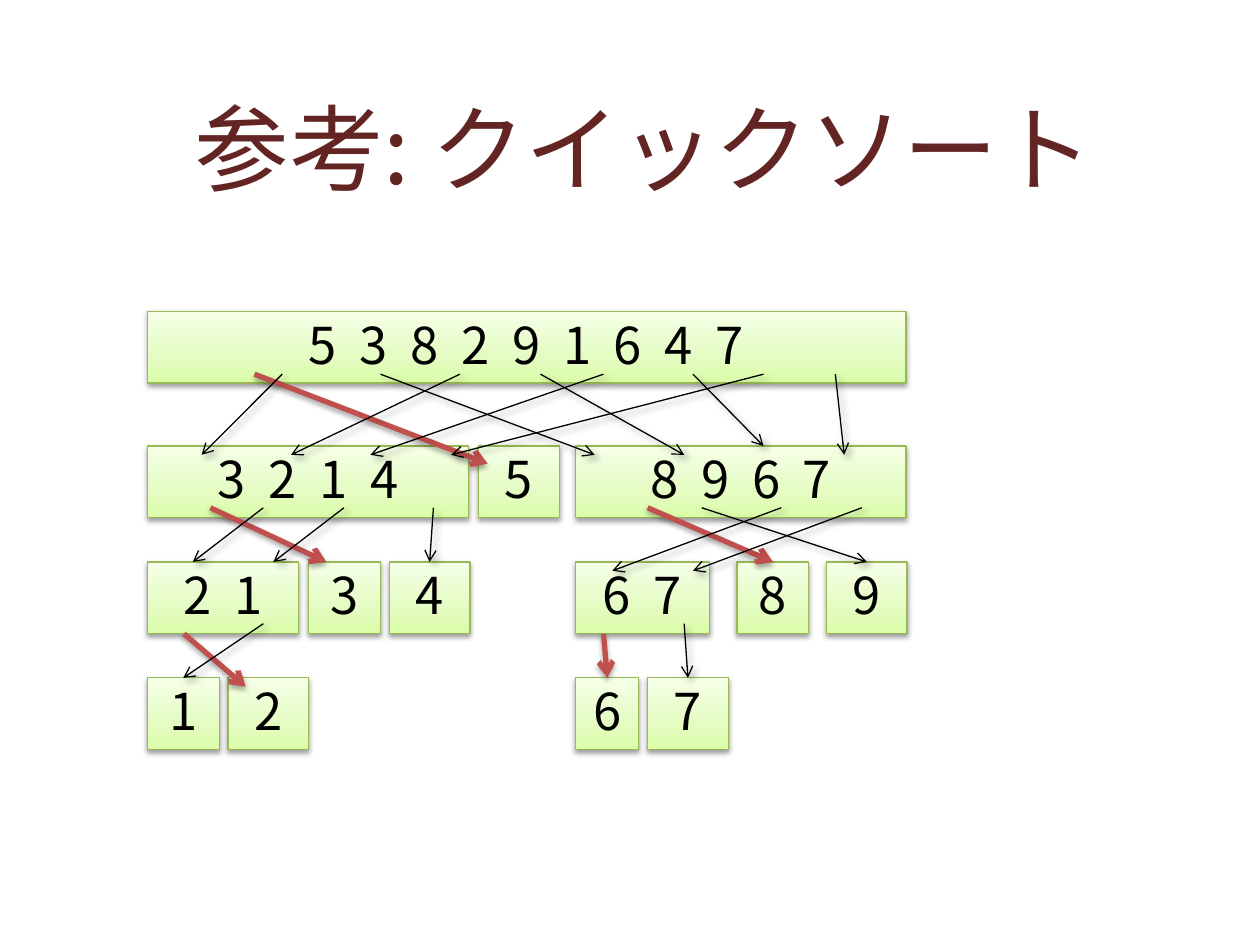
from typing import NamedTuple

import pptx
import pptx.dml.color
import pptx.enum.shapes
import pptx.enum.text
import pptx.oxml
import pptx.oxml.ns
import pptx.util
from pptx.util import Inches, Pt

RGBColor = pptx.dml.color.RGBColor
FONT = "Noto Sans CJK JP"
BLACK = RGBColor(0x00, 0x00, 0x00)
MAROON = RGBColor(0x63, 0x25, 0x23)
PIVOT_RED = RGBColor(0xC0, 0x50, 0x4D)
BORDER_GREEN = RGBColor(0x98, 0xB9, 0x55)
GREEN_STOPS = (
    (0, RGBColor(0xDA, 0xFD, 0xA7)),
    (35, RGBColor(0xE4, 0xFC, 0xC2)),
    (100, RGBColor(0xF5, 0xFF, 0xE7)),
)
NS = pptx.oxml.ns.nsdecls("a")
BOX_HEIGHT = 0.57
TOP_SIDE = 0


class Shadow(NamedTuple):
    alpha: int
    blur: float
    distance: float
    angle: int


class Arrow(NamedTuple):
    x1: float
    y1: float
    x2: float
    y2: float


class Partition(NamedTuple):
    digits: str
    left: float
    width: float


BOX_SHADOW = Shadow(38, 3.1, 1.6, 90)
PIVOT_SHADOW = Shadow(35, 3.1, 1.8, 90)
MOVE_SHADOW = Shadow(40, 4, 3, 45)

# Top of each level, with the partitions on it.
LEVELS = {
    2.47: [Partition("538291647", 1.17, 6.02)],
    3.54: [Partition("5", 3.8, 0.64), Partition("3214", 1.17, 2.55),
           Partition("8967", 4.57, 2.62)],
    4.46: [Partition("3", 2.45, 0.57), Partition("21", 1.17, 1.2),
           Partition("4", 3.09, 0.64), Partition("8", 5.85, 0.57),
           Partition("67", 4.57, 1.06), Partition("9", 6.56, 0.64)],
    5.38: [Partition("1", 1.17, 0.57), Partition("2", 1.81, 0.64),
           Partition("6", 4.57, 0.5), Partition("7", 5.14, 0.64)],
}

PIVOT_ARROWS = [
    Arrow(2.02, 2.97, 3.87, 3.68), Arrow(1.67, 4.03, 2.59, 4.46),
    Arrow(5.14, 4.03, 6.13, 4.46), Arrow(4.79, 5.03, 4.82, 5.38),
    Arrow(1.46, 5.03, 1.95, 5.45),
]
MOVE_ARROWS = [
    Arrow(2.24, 2.97, 1.6, 3.61), Arrow(3.02, 2.97, 4.72, 3.61),
    Arrow(3.65, 2.97, 2.31, 3.61), Arrow(4.29, 2.97, 5.43, 3.61),
    Arrow(4.79, 2.97, 2.94, 3.61), Arrow(5.5, 2.97, 6.06, 3.54),
    Arrow(6.06, 2.97, 3.58, 3.61), Arrow(6.63, 2.97, 6.7, 3.61),
    Arrow(2.09, 4.03, 1.53, 4.46), Arrow(2.73, 4.03, 2.17, 4.46),
    Arrow(5.57, 4.03, 6.88, 4.46), Arrow(6.2, 4.03, 4.86, 4.53),
    Arrow(6.84, 4.03, 5.5, 4.53), Arrow(5.43, 4.95, 5.46, 5.38),
    Arrow(2.09, 4.95, 1.46, 5.38), Arrow(3.44, 4.03, 3.41, 4.46),
]


def write_text(shape, text: str, *, size: float, color: RGBColor,
               line_spacing: float, anchor, tracking: float = 0) -> None:
    """Fill a shape with one centred line; tracking is letter spacing in points."""
    frame = shape.text_frame
    frame.word_wrap = True
    frame.vertical_anchor = anchor
    frame.margin_left = frame.margin_right = Inches(0.09)
    frame.margin_top = frame.margin_bottom = Inches(0.05)
    paragraph = frame.paragraphs[0]
    paragraph.alignment = pptx.enum.text.PP_ALIGN.CENTER
    paragraph.line_spacing = line_spacing
    run = paragraph.add_run()
    run.text = text
    run.font.size = Pt(size)
    run.font.name = FONT
    run.font.color.rgb = color
    properties = run.font._element
    properties.append(pptx.oxml.parse_xml(f'<a:ea {NS} typeface="{FONT}"/>'))
    if tracking:
        properties.set("spc", str(round(tracking * 100)))


def add_shadow(shape, shadow: Shadow) -> None:
    shape._element.spPr.append(pptx.oxml.parse_xml(
        f'<a:effectLst {NS}><a:outerShdw blurRad="{Pt(shadow.blur)}" '
        f'dist="{Pt(shadow.distance)}" dir="{shadow.angle * 60000}" rotWithShape="0">'
        f'<a:srgbClr val="{BLACK}"><a:alpha val="{shadow.alpha * 1000}"/></a:srgbClr>'
        '</a:outerShdw></a:effectLst>'))


def fill_green(shape) -> None:
    """Apply the three-stop gradient, running from the bottom up."""
    stops = "".join(
        f'<a:gs pos="{position * 1000}"><a:srgbClr val="{color}"/></a:gs>'
        for position, color in GREEN_STOPS)
    shape.fill.background()
    placeholder_fill = shape._element.spPr.find(pptx.oxml.ns.qn("a:noFill"))
    placeholder_fill.getparent().replace(placeholder_fill, pptx.oxml.parse_xml(
        f'<a:gradFill {NS} rotWithShape="1"><a:gsLst>{stops}</a:gsLst>'
        '<a:lin ang="16200000" scaled="0"/></a:gradFill>'))


def add_partition(slide, partition: Partition, top: float):
    box = slide.shapes.add_shape(
        pptx.enum.shapes.MSO_SHAPE.RECTANGLE, Inches(partition.left), Inches(top),
        Inches(partition.width), Inches(BOX_HEIGHT))
    fill_green(box)
    box.line.color.rgb = BORDER_GREEN
    box.line.width = Pt(0.75)
    add_shadow(box, BOX_SHADOW)
    write_text(box, " ".join(partition.digits), size=29, color=BLACK,
               line_spacing=0.93, anchor=pptx.enum.text.MSO_ANCHOR.MIDDLE,
               tracking=3.25 if len(partition.digits) > 1 else 0)
    return box


def add_arrow(slide, arrow: Arrow, boxes: list, *, color: RGBColor,
              width: float, shadow: Shadow) -> None:
    """Draw an arrow, joined to a box when it ends at the middle of its top."""
    line = slide.shapes.add_connector(
        pptx.enum.shapes.MSO_CONNECTOR.STRAIGHT,
        *(Inches(length) for length in arrow))
    tolerance = Inches(0.02)
    for box in boxes:
        middle = box.left + box.width // 2
        if (abs(middle - line.end_x) < tolerance
                and abs(box.top - line.end_y) < tolerance):
            line.end_connect(box, TOP_SIDE)
            break
    line.line.color.rgb = color
    line.line.width = Pt(width)
    line.line._get_or_add_ln().append(
        pptx.oxml.parse_xml(f'<a:tailEnd {NS} type="arrow"/>'))
    add_shadow(line, shadow)


def main() -> None:
    deck = pptx.Presentation()
    deck.slide_width, deck.slide_height = Inches(10), Inches(7.5)
    slide = deck.slides.add_slide(deck.slide_layouts[6])
    boxes = [add_partition(slide, partition, top)
             for top, partitions in LEVELS.items() for partition in partitions]
    for arrow in PIVOT_ARROWS:
        add_arrow(slide, arrow, boxes, color=PIVOT_RED, width=3, shadow=PIVOT_SHADOW)
    for arrow in MOVE_ARROWS:
        add_arrow(slide, arrow, boxes, color=BLACK, width=0.75, shadow=MOVE_SHADOW)
    title = slide.shapes.add_textbox(Inches(0.61), Inches(0.56), Inches(9), Inches(0.78))
    write_text(title, "参考: クイックソート", size=54, color=MAROON,
               line_spacing=1.12, anchor=pptx.enum.text.MSO_ANCHOR.TOP)
    deck.save("out.pptx")


if __name__ == "__main__":
    main()
